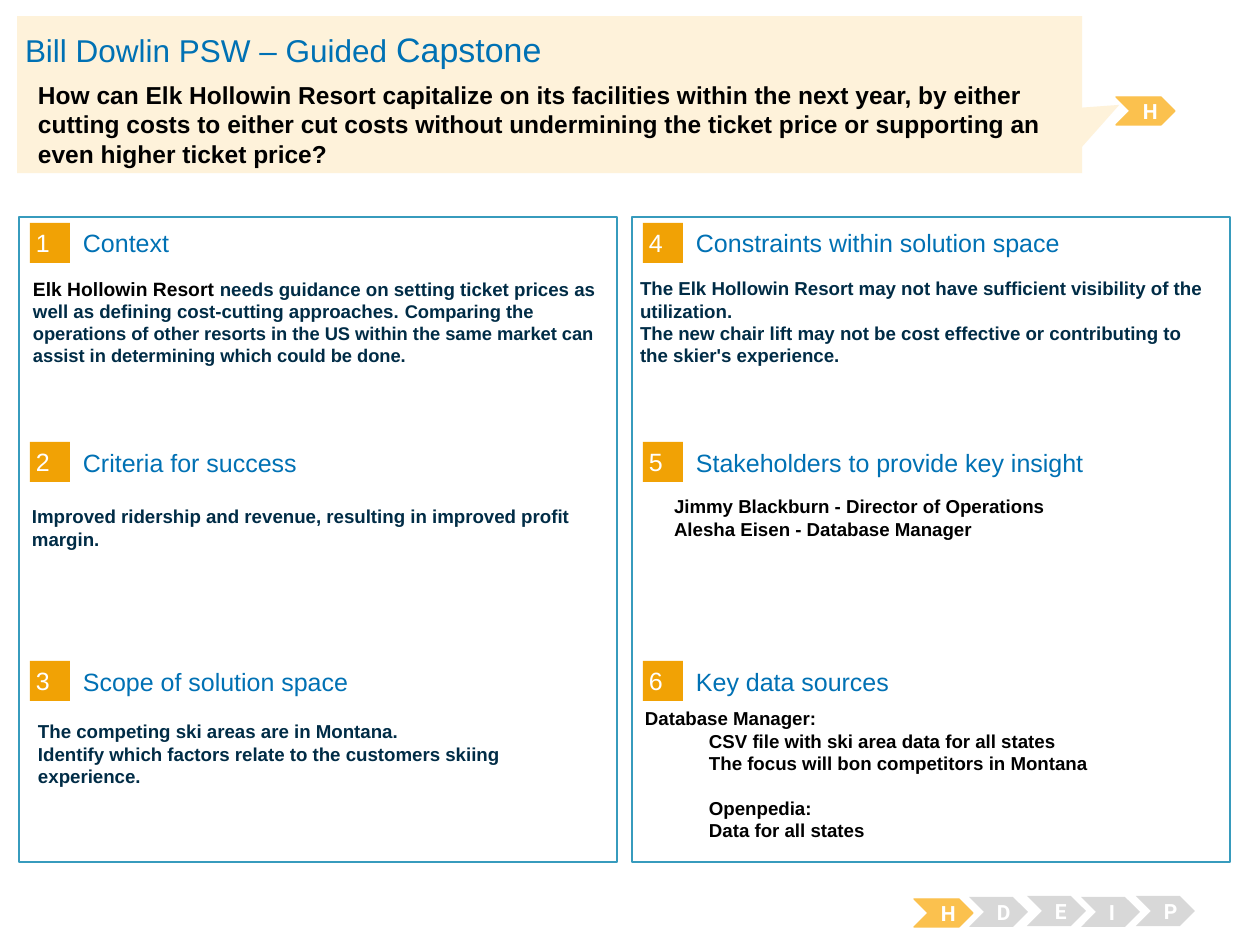
"""Builds the problem statement worksheet slide."""
import pptx
import pptx.util
import pptx.dml.color
import pptx.enum.shapes
import pptx.enum.text

SCALE = 914400 / 126
NAVY, BLACK, WHITE, BLUE = "002C46", "000000", "FFFFFF", "0071B4"
GOLD, GREY = "FBC14E", "D8D8D8"
KIND = pptx.enum.shapes.MSO_SHAPE
MID = pptx.enum.text.MSO_ANCHOR.MIDDLE
MIDDLE = pptx.enum.text.PP_ALIGN.CENTER

TITLE = [("Bill Dowlin PSW – Guided ", 18, BLUE), ("Capstone", 19.4, BLUE)]
ASK = ("How can Elk Hollowin Resort capitalize on its facilities within the next year, "
       "by either cutting costs to either cut costs without undermining the ticket price "
       "or supporting an even higher ticket price?")
HEADS = [["Context", "Criteria for success", "Scope of solution space"],
         ["Constraints within solution space", "Stakeholders to provide key insight",
          "Key data sources"]]
CONTEXT = [
    ("Elk Hollowin Resort ", 11, BLACK),
    ("needs guidance on setting ticket prices as well as defining cost-cutting approaches. ",
     10.7, NAVY),
    ("Comparing the operations of other resorts in the US within the same market can "
     "assist in determining which could be done.", 10.5, NAVY)]
# Each body: box, colour, then lines of (text, indent, space before in points).
BODIES = [
    ((19, 499, 596, 155), NAVY, [
        ("Improved ridership and revenue, resulting in improved profit margin.", 0, 0)]),
    ((25, 714, 596, 103), NAVY, [
        ("The competing ski areas are in Montana.", 0, 0),
        ("Identify which factors relate to the customers skiing experience.", 0, 0)]),
    ((627, 271, 596, 149), NAVY, [
        ("The Elk Hollowin Resort may not have sufficient visibility of the utilization.", 0, 0),
        ("The new chair lift may not be cost effective or contributing to the skier's "
         "experience.", 0, 0)]),
    ((635, 489, 596, 149), BLACK, [
        ("Jimmy Blackburn - Director of Operations", 26, 0),
        ("Alesha Eisen - Database Manager", 26, 0)]),
    ((632, 701, 596, 149), BLACK, [
        ("Database Manager:", 0, 0),
        ("CSV file with ski area data for all states", 64, 0),
        ("The focus will bon competitors in Montana", 64, 0),
        ("Openpedia:", 64, 12.7),
        ("Data for all states", 64, 0)]),
]
STEPS = [("H", 1116, 97, 28, GOLD), ("H", 914, 899, 28, GOLD), ("D", 969, 897, 30, GREY),
         ("E", 1027, 896, 30, GREY), ("I", 1081, 897, 30, GREY), ("P", 1136, 896, 30, GREY)]


def px(n):
    return pptx.util.Emu(round(n * SCALE))


def hue(code):
    return pptx.dml.color.RGBColor.from_string(code)


def style(item, **values):
    for name, value in values.items():
        setattr(item, name, value)


def write(shape, paras, inset=(13, 6), anchor=None, face="Arial", bold=False, align=None):
    frame = shape.text_frame
    wide, high = map(px, inset)
    style(frame, word_wrap=True, margin_left=wide, margin_right=wide,
          margin_top=high, margin_bottom=high,
          vertical_anchor=anchor or pptx.enum.text.MSO_ANCHOR.TOP,
          auto_size=pptx.enum.text.MSO_AUTO_SIZE.NONE)
    for i, (runs, indent, gap) in enumerate(paras):
        para = frame.paragraphs[0] if i == 0 else frame.add_paragraph()
        style(para, alignment=align or pptx.enum.text.PP_ALIGN.LEFT,
              space_before=pptx.util.Pt(gap))
        if indent:
            para._p.get_or_add_pPr().set("marL", str(px(indent)))
        for text, size, color in runs:
            run = para.add_run()
            run.text = text
            style(run.font, name=face, size=pptx.util.Pt(size), bold=bold)
            run.font.color.rgb = hue(color)


def draw(kind, box, fill, line=None, width=0.75):
    shape = shapes.add_shape(kind, *map(px, box))
    shape.shadow.inherit = False
    shape.fill.solid()
    shape.fill.fore_color.rgb = hue(fill)
    if line:
        shape.line.color.rgb = hue(line)
        shape.line.width = pptx.util.Pt(width)
    else:
        shape.line.fill.background()
    return shape


def label(box, paras, **look):
    write(shapes.add_textbox(*map(px, box)), paras, **look)


deck = pptx.Presentation()
style(deck, slide_width=px(1260), slide_height=px(945))
slide = deck.slides.add_slide(deck.slide_layouts[5])
shapes = slide.shapes

for col, heads in enumerate(HEADS):
    dx = 613 * col
    draw(KIND.RECTANGLE, (19 + dx, 217, 598, 645), WHITE, "379BBD", 1.5)
    for row, head in enumerate(heads):
        y = 223 + 219 * row
        badge = draw(KIND.RECTANGLE, (30 + dx, y, 40, 40), "F1A205")
        write(badge, [([(str(3 * col + row + 1), 14.3, WHITE)], 0, 0)],
              inset=(6, 6), anchor=MID)
        label((83 + dx, y + 4, 495, 32), [([(head, 14.3, BLUE)], 0, 0)],
              inset=(0, 0), anchor=MID)

label((20, 271, 596, 152), [(CONTEXT, 0, 0)], bold=True)
for box, color, lines in BODIES:
    label(box, [([(text, 10.7, color)], indent, gap) for text, indent, gap in lines],
          bold=True)

for mark, x, y, high, color in STEPS:
    step = draw(KIND.CHEVRON, (x, y, 59, high), color, GOLD if color == GOLD else None)
    write(step, [([(mark, 12, WHITE)], 0, 0)], anchor=MID, face="Roboto", bold=True,
          align=MIDDLE)

call = draw(KIND.RECTANGULAR_CALLOUT, (17, 16, 1065, 157), "FEF2DA")
call.adjustments[0], call.adjustments[1] = 0.535, 0.066

title = shapes.title
style(title, left=px(25), top=px(27), width=px(1212), height=px(43))
write(title, [(TITLE, 0, 0)], inset=(0, 0), anchor=MID)
call._element.addnext(title._element)
label((25, 74, 1045, 68), [([(ASK, 14, BLACK)], 0, 0)], bold=True)

deck.save("out.pptx")
